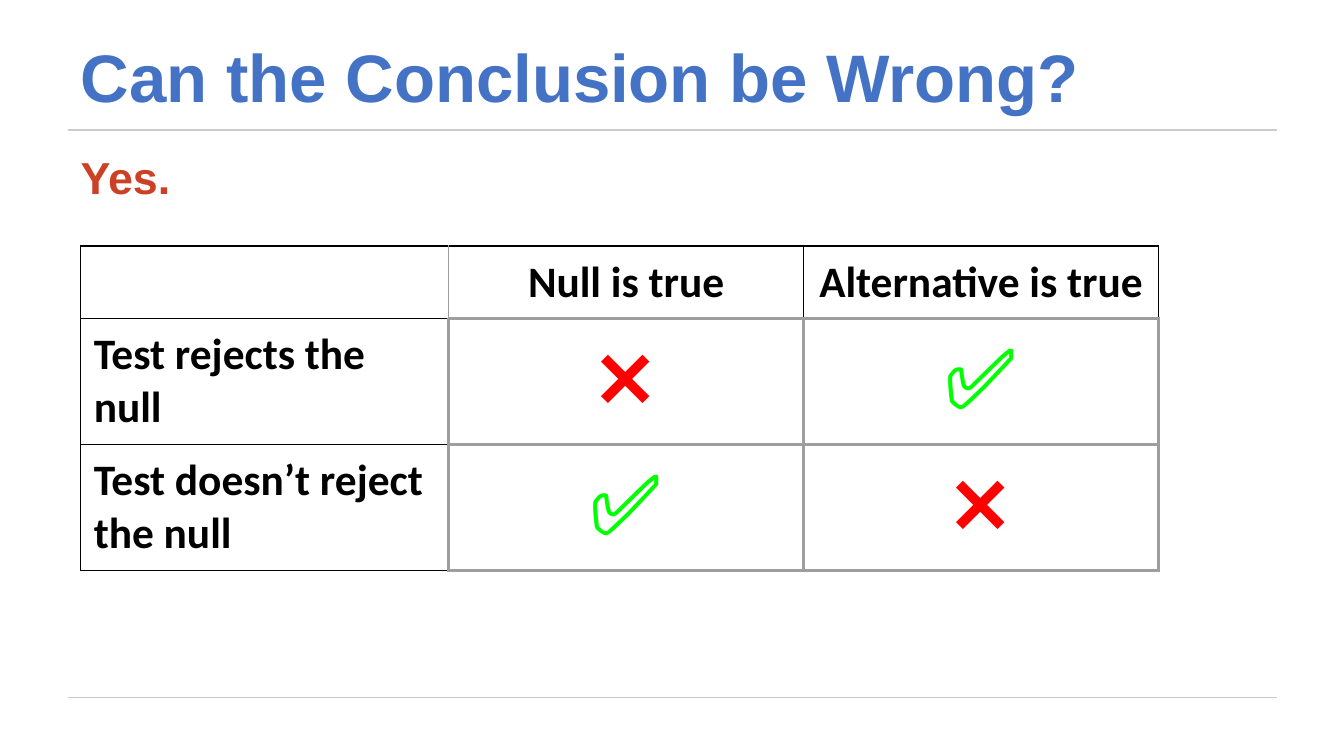
from lxml.etree import SubElement
from pptx import Presentation
from pptx.dml.color import RGBColor
from pptx.enum.shapes import MSO_CONNECTOR
from pptx.enum.text import MSO_ANCHOR, PP_ALIGN
from pptx.oxml import parse_xml
from pptx.oxml.ns import nsdecls, qn
from pptx.util import Inches, Pt

BLUE = RGBColor(0x44, 0x72, 0xC4)
RUST = RGBColor(0xCC, 0x41, 0x25)
BLACK = RGBColor(0, 0, 0)
RED = RGBColor(0xFF, 0, 0)
GREEN = RGBColor(0, 0xFF, 0)
GRAY = RGBColor(0x9E, 0x9E, 0x9E)
PALE = RGBColor(0xCC, 0xCC, 0xCC)

CROSS, CHECK = "\u274c", "\u2705"
MARK_COLORS = {CROSS: RED, CHECK: GREEN}
TITLE = "Can the Conclusion be Wrong?"
ANSWER = "Yes."
OUTCOMES = [
    ["", "Null is true", "Alternative is true"],
    ["Test rejects the null", CROSS, CHECK],
    ["Test doesn’t reject the null", CHECK, CROSS],
]
COLUMN_WIDTHS = [3.65, 3.52, 3.52]
ROW_HEIGHTS = [0.72, 1.25, 1.25]
MARGIN, CONTENT_WIDTH, INSET = 0.67, 12, 0.13
RULE_HEIGHTS = [1.29, 6.92]

presentation = Presentation()
presentation.slide_width, presentation.slide_height = Inches(13.33), Inches(7.5)
slide = presentation.slides.add_slide(presentation.slide_layouts[6])


def write(frame, text, size, color, font="Arial", bold=True,
          align=PP_ALIGN.LEFT, spacing=1.0, before=0):
    paragraph = frame.paragraphs[0]
    paragraph.alignment = align
    paragraph.line_spacing = spacing
    paragraph.space_before = Pt(before)
    run = paragraph.add_run()
    run.text = text
    run.font.name, run.font.size, run.font.bold = font, Pt(size), bold
    run.font.color.rgb = color


def add_heading(text, top, width, height, anchor, **style):
    box = slide.shapes.add_textbox(
        Inches(MARGIN), Inches(top), Inches(width), Inches(height))
    frame = box.text_frame
    frame.word_wrap = True
    frame.vertical_anchor = anchor
    frame.margin_left = frame.margin_right = Inches(INSET)
    frame.margin_top = frame.margin_bottom = Inches(INSET)
    write(frame, text, spacing=0.9, **style)


def border_style(side, row, column):
    neighbour_row = row + {"T": -1, "B": 1}.get(side, 0)
    neighbour_column = column + {"L": -1, "R": 1}.get(side, 0)
    if (row and column) or (neighbour_row and neighbour_column
                            and 0 < neighbour_row < len(ROW_HEIGHTS)
                            and 0 < neighbour_column < len(COLUMN_WIDTHS)):
        return GRAY, 2.25
    if row == 0 and {column, neighbour_column} == {0, 1}:
        return GRAY, 0.75
    return BLACK, 1


def draw_borders(cell, row, column):
    properties = cell._tc.get_or_add_tcPr()
    for position, side in enumerate("LRTB"):
        color, width = border_style(side, row, column)
        properties.insert(position, parse_xml(
            f'<a:ln{side} {nsdecls("a")} w="{Pt(width)}"><a:solidFill>'
            f'<a:srgbClr val="{color}"/></a:solidFill></a:ln{side}>'))


for height in RULE_HEIGHTS:
    rule = slide.shapes.add_connector(
        MSO_CONNECTOR.STRAIGHT, Inches(MARGIN), Inches(height),
        Inches(MARGIN + CONTENT_WIDTH), Inches(height))
    rule.line.color.rgb, rule.line.width = PALE, Pt(0.75)
    SubElement(rule._element.spPr, qn("a:effectLst"))

add_heading(ANSWER, 1.42, CONTENT_WIDTH, 0.85, MSO_ANCHOR.TOP,
            size=32, color=RUST, before=6.4)

outcome_table = slide.shapes.add_table(
    len(ROW_HEIGHTS), len(COLUMN_WIDTHS), Inches(MARGIN + INSET), Inches(2.44),
    Inches(sum(COLUMN_WIDTHS)), Inches(sum(ROW_HEIGHTS))).table
outcome_table.first_row = outcome_table.horz_banding = False
for column, width in zip(outcome_table.columns, COLUMN_WIDTHS):
    column.width = Inches(width)
for row, height in zip(outcome_table.rows, ROW_HEIGHTS):
    row.height = Inches(height)

for row, outcomes in enumerate(OUTCOMES):
    for column, outcome in enumerate(outcomes):
        cell = outcome_table.cell(row, column)
        cell.fill.background()
        cell.margin_left = cell.margin_right = Inches(INSET)
        cell.margin_top = cell.margin_bottom = Inches(0.1)
        draw_borders(cell, row, column)
        if outcome:
            is_mark = outcome in MARK_COLORS
            write(cell.text_frame, outcome, 60 if is_mark else 31,
                  MARK_COLORS.get(outcome, BLACK), font="Calibri",
                  bold=not is_mark,
                  align=PP_ALIGN.CENTER if column else PP_ALIGN.LEFT)

add_heading(TITLE, 0.3, 11.29, 0.99, MSO_ANCHOR.BOTTOM, size=48, color=BLUE)

presentation.save("out.pptx")
